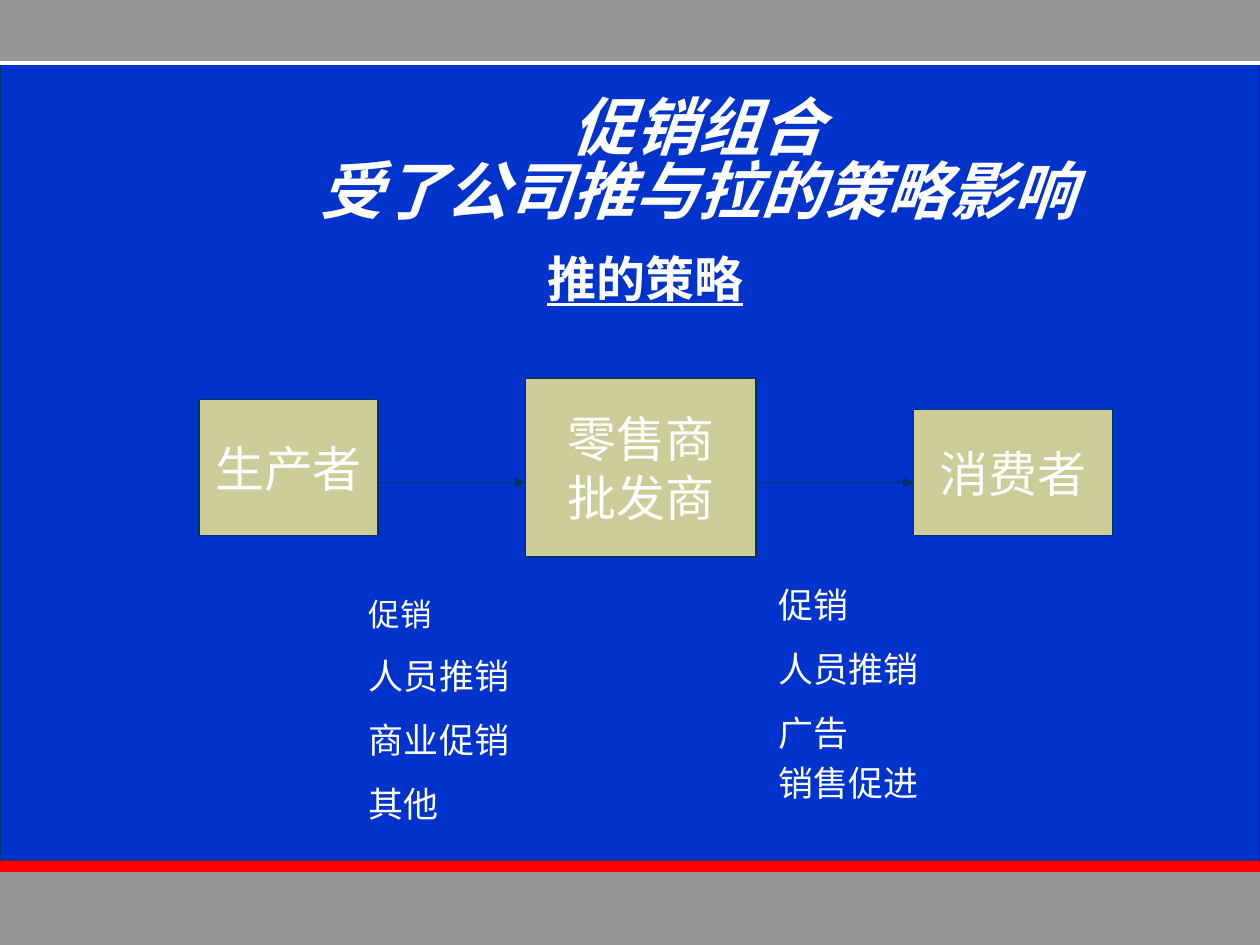
"""Build the push strategy slide: a distribution chain with promotion lists."""
from lxml import etree
from pptx import Presentation
from pptx.dml.color import RGBColor
from pptx.enum.shapes import MSO_CONNECTOR, MSO_SHAPE
from pptx.enum.text import MSO_ANCHOR, MSO_AUTO_SIZE, PP_ALIGN
from pptx.oxml.ns import qn
from pptx.util import Inches, Pt

CENTER, LEFT = PP_ALIGN.CENTER, PP_ALIGN.LEFT
MIDDLE = MSO_ANCHOR.MIDDLE
RECTANGLE = MSO_SHAPE.RECTANGLE
STRAIGHT = MSO_CONNECTOR.STRAIGHT
NO_FIT, FIT_SHAPE = MSO_AUTO_SIZE.NONE, MSO_AUTO_SIZE.SHAPE_TO_FIT_TEXT

FONT = "Times New Roman"
COLORS = {"blue": "0033CC", "navy": "003366", "gray": "969696",
          "red": "FF0000", "white": "FFFFFF", "sand": "CCCC99"}
WIDTH, HEIGHT = 10, 7.5
PANEL_TOP, PANEL_BOTTOM, FOOTER_TOP = 0.5, 6.83, 6.92
ARROW_Y = 3.83

BANDS = [
    (PANEL_TOP, PANEL_BOTTOM, "blue", "navy"),
    (0, PANEL_TOP, "gray", None),
    (FOOTER_TOP, HEIGHT, "gray", None),
    (PANEL_BOTTOM, FOOTER_TOP, "red", None),
]
TITLE = ["促销组合", "受了公司推与拉的策略影响"]
TITLE_BOX = (1.5, 0.67, 8.07, 1.25)
SUBTITLE = "推的策略"
SUBTITLE_BOX = (3.83, 1.92, 2.58, 0.57)
CHAIN = [
    (["生产者"], (1.58, 3.17, 1.42, 1.08)),
    (["零售商", "批发商"], (4.17, 3, 1.83, 1.42)),
    (["消费者"], (7.25, 3.25, 1.58, 1)),
]
PROMOTIONS = [
    ((2.83, 4.67, 1.42, 1.92),
     [("促销", 18, 0), ("人员推销", 20, 12.5),
      ("商业促销", 20, 12.5), ("其他", 20, 12.5)]),
    ((6.08, 4.58, 1.5, 1.85),
     [("促销", 20, 0), ("人员推销", 20, 12.5),
      ("广告", 20, 12.5), ("销售促进", 20, 5)]),
]


def color(name):
    return RGBColor.from_string(COLORS[name])


def inches(box):
    return [Inches(length) for length in box]


def add_run(paragraph, text, size, **styles):
    run = paragraph.add_run()
    run.text = text
    font = run.font
    font.name, font.size = FONT, Pt(size)
    font.color.rgb = color("white")
    for style, value in styles.items():
        setattr(font, style, value)


def add_paragraphs(frame, rows, alignment, **styles):
    for index, (text, size, space) in enumerate(rows):
        paragraph = frame.add_paragraph() if index else frame.paragraphs[0]
        paragraph.alignment = alignment
        paragraph.space_before = Pt(space)
        add_run(paragraph, text, size, **styles)


def add_rectangle(slide, box, fill, line):
    shape = slide.shapes.add_shape(RECTANGLE, *inches(box))
    shape.shadow.inherit = False
    shape.fill.solid()
    shape.fill.fore_color.rgb = color(fill)
    if line:
        shape.line.color.rgb = color(line)
        shape.line.width = Pt(0.75)
    else:
        shape.line.fill.background()
    return shape


def add_line(slide, left, right, y, line, width, arrow=False):
    connector = slide.shapes.add_connector(STRAIGHT, *inches((left, y, right, y)))
    connector.line.color.rgb = color(line)
    connector.line.width = Pt(width)
    if arrow:
        outline = connector.line._get_or_add_ln()
        etree.SubElement(outline, qn("a:tailEnd")).set("type", "triangle")
    etree.SubElement(connector.element.spPr, qn("a:effectLst"))


def add_text(slide, box, rows, alignment, **styles):
    frame = slide.shapes.add_textbox(*inches(box)).text_frame
    frame.word_wrap = True
    frame.auto_size = FIT_SHAPE
    add_paragraphs(frame, rows, alignment, **styles)


def fill_title(slide):
    title = slide.shapes.title
    title.element.getparent().append(title.element)
    title.left, title.top, title.width, title.height = inches(TITLE_BOX)
    frame = title.text_frame
    frame.auto_size = NO_FIT
    frame.vertical_anchor = MIDDLE
    paragraph = frame.paragraphs[0]
    paragraph.alignment = CENTER
    paragraph.line_spacing = 0.85
    for index, text in enumerate(TITLE):
        if index:
            paragraph.add_line_break()
        add_run(paragraph, text, 36, bold=True, italic=True)


def main():
    presentation = Presentation()
    presentation.slide_width, presentation.slide_height = inches((WIDTH, HEIGHT))
    slide = presentation.slides.add_slide(presentation.slide_layouts[5])

    for top, bottom, fill, line in BANDS:
        add_rectangle(slide, (0, top, WIDTH, bottom - top), fill, line)
    add_line(slide, 0, WIDTH, PANEL_TOP, "white", 2.25)
    fill_title(slide)

    for names, box in CHAIN:
        frame = add_rectangle(slide, box, "sand", "navy").text_frame
        frame.word_wrap = False
        frame.vertical_anchor = MIDDLE
        add_paragraphs(frame, [(name, 28, 0) for name in names], CENTER)
    for (_, source), (_, target) in zip(CHAIN, CHAIN[1:]):
        add_line(slide, source[0] + source[2], target[0], ARROW_Y, "navy", 0.75, arrow=True)

    add_text(slide, SUBTITLE_BOX, [(SUBTITLE, 28, 0)], CENTER, bold=True, underline=True)
    for box, rows in PROMOTIONS:
        add_text(slide, box, rows, LEFT)
    presentation.save("out.pptx")


if __name__ == "__main__":
    main()
